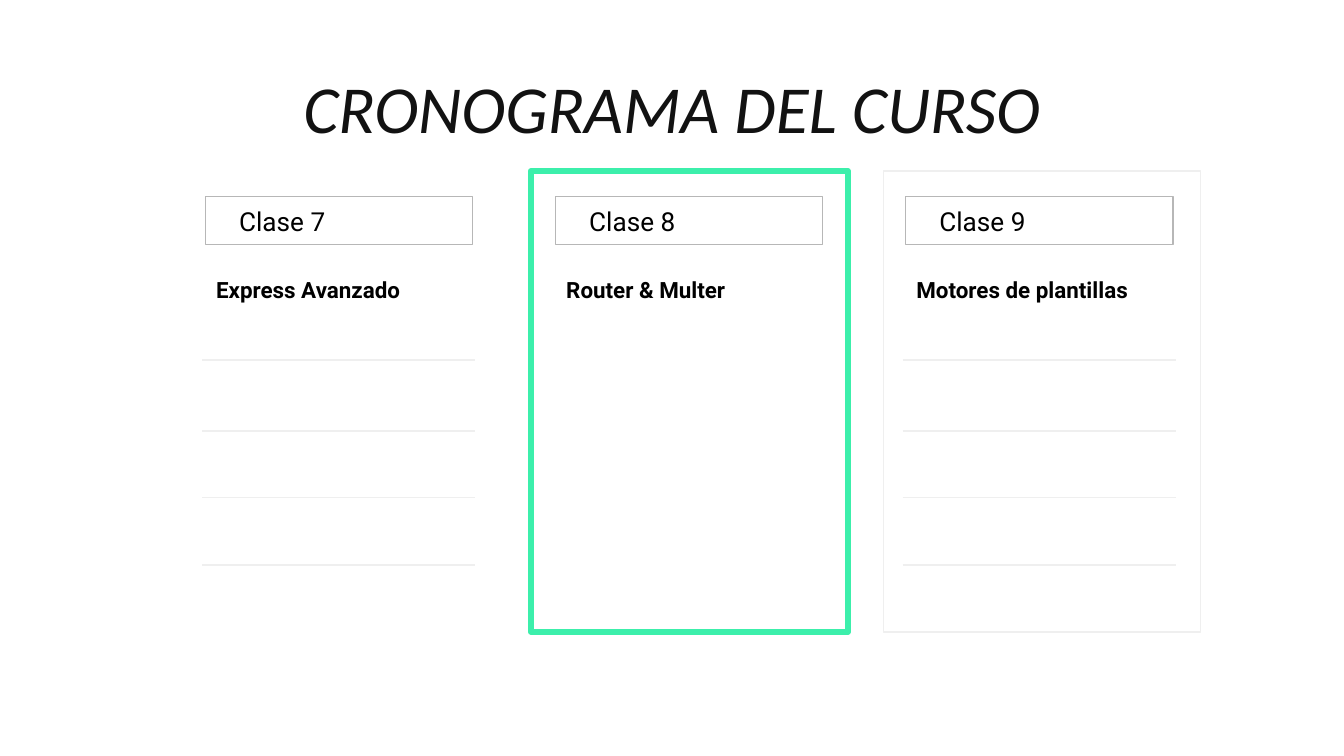
from pptx import Presentation
from pptx import util as u
from pptx.dml.color import RGBColor
from pptx.enum import shapes, text
from pptx.oxml.ns import qn
from lxml import etree

BLACK = RGBColor(0x00, 0x00, 0x00)
INK = RGBColor(0x12, 0x12, 0x12)
GREEN = RGBColor(0x3C, 0xEF, 0xAB)
GRAY = RGBColor(0xB7, 0xB7, 0xB7)
PALE = RGBColor(0xEF, 0xEF, 0xEF)

# Widescreen slide in inches; all other lengths are percent of it
WIDTH = 10
HEIGHT = WIDTH * 9 / 16
TITLE_BOX = (15.3, 4.45, 69.4, 19.2)
FIRST_CARD = (13.5, 22.6, 23.6, 61)
CARD_PITCH = 26.05

TITLE_FONT = {"name": "Calibri", "size": u.Pt(36), "italic": True, "bold": False}
LABEL_FONT = {"name": "Roboto", "size": u.Pt(14), "bold": False}
TOPIC_FONT = {"name": "Roboto", "size": u.Pt(12), "bold": True}

# Class, topic, frame colour, width and shift (None for no frame), ruled rows
CLASSES = [
    ("Clase 7", "Express Avanzado", None, True),
    ("Clase 8", "Router & Multer", (GREEN, 3, -0.05), False),
    ("Clase 9", "Motores de plantillas", (PALE, 0.75, 0.12), True),
]
RULE_ROWS = (25.05, 34.4, 43.2, 52.15)


def across(share):
    return u.Inches(WIDTH * share / 100)


def down(share):
    return u.Inches(HEIGHT * share / 100)


def lengths(box):
    left, top, width, height = box
    return across(left), down(top), across(width), down(height)


def write(frame, words, font, color, align, anchor, spacing=1.0):
    frame.word_wrap = True
    frame.auto_size = text.MSO_AUTO_SIZE.NONE
    frame.vertical_anchor = anchor
    for side in ("left", "top", "right", "bottom"):
        setattr(frame, f"margin_{side}", u.Inches(0.1))
    para = frame.paragraphs[0]
    para.alignment = align
    para.line_spacing = spacing
    span = para.add_run()
    span.text = words
    for name, value in font.items():
        setattr(span.font, name, value)
    span.font.color.rgb = color


def add_outline(page, box, color, width):
    outline = page.shapes.add_shape(shapes.MSO_SHAPE.RECTANGLE, *lengths(box))
    outline.shadow.inherit = False
    outline.fill.background()
    outline.line.color.rgb = color
    outline.line.width = u.Pt(width)


def add_text(page, box, words, font, spacing=1.0):
    holder = page.shapes.add_textbox(*lengths(box))
    write(holder.text_frame, words, font, BLACK,
          text.PP_ALIGN.LEFT, text.MSO_ANCHOR.TOP, spacing)


def add_rule(page, left, top, width):
    rule = page.shapes.add_connector(
        shapes.MSO_CONNECTOR.STRAIGHT,
        across(left), down(top), across(left + width), down(top))
    rule.line.color.rgb = PALE
    rule.line.width = u.Pt(0.75)
    etree.SubElement(rule.element.spPr, qn("a:effectLst"))


def add_title(page, box, words):
    title = page.shapes.title
    title.left, title.top, title.width, title.height = lengths(box)
    write(title.text_frame, words, TITLE_FONT, INK,
          text.PP_ALIGN.CENTER, text.MSO_ANCHOR.MIDDLE)


def add_card(page, box, label, topic, frame, ruled):
    left, top, width, height = box
    if frame:
        color, weight, shift = frame
        add_outline(page, (left + shift, top, width, height), color, weight)
    # Class label in its bar
    add_outline(page, (left + 1.77, top + 3.37, 19.9, 6.4), GRAY, 0.75)
    add_text(page, (left + 3.3, top + 2.84, 13.5, 7.1), label, LABEL_FONT)
    # Topic and ruled rows below it
    add_text(page, (left + 1.6, top + 11.6, 20.3, 8.2), topic, TOPIC_FONT, 1.15)
    if ruled:
        for row in RULE_ROWS:
            add_rule(page, left + 1.57, top + row, 20.3)


def main():
    deck = Presentation()
    deck.slide_width, deck.slide_height = u.Inches(WIDTH), u.Inches(HEIGHT)
    page = deck.slides.add_slide(deck.slide_layouts[5])
    add_title(page, TITLE_BOX, "CRONOGRAMA DEL CURSO")
    left, top, width, height = FIRST_CARD
    for index, details in enumerate(CLASSES):
        add_card(page, (left + index * CARD_PITCH, top, width, height), *details)
    deck.save("out.pptx")


if __name__ == "__main__":
    main()
